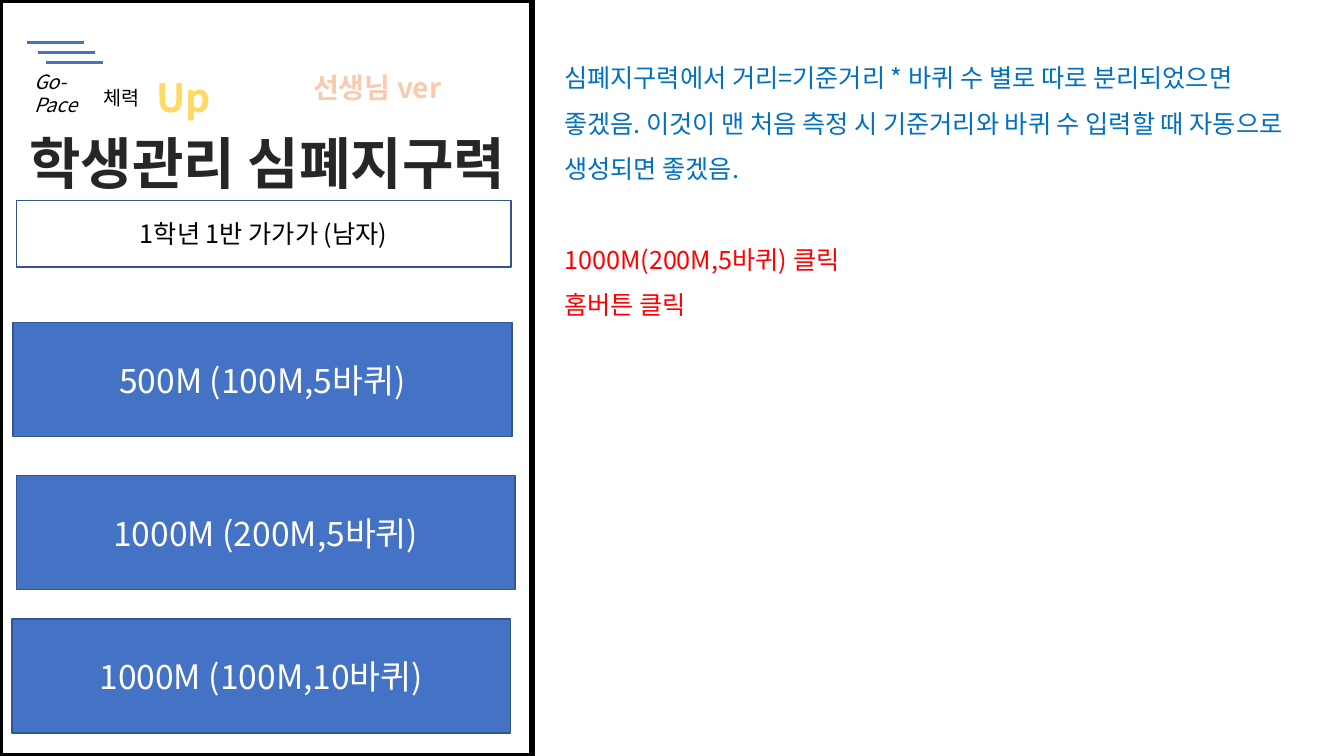
from lxml.etree import SubElement
from pptx import Presentation
from pptx.dml.color import RGBColor
from pptx.enum.shapes import MSO_CONNECTOR, MSO_SHAPE
from pptx.enum.text import MSO_ANCHOR, MSO_AUTO_SIZE, PP_ALIGN
from pptx.oxml import parse_xml
from pptx.oxml.ns import nsdecls, qn
from pptx.util import Cm, Pt

FONT = "Noto Sans CJK KR"
COLORS = {
    "white": "FFFFFF", "black": "000000", "title": "262626",
    "blue": "4472C4", "edge": "325491", "peach": "F8CBAD",
    "orange": "ED7D31", "gold": "FFC000", "yellow": "FFD966",
    "cream": "FFF2CC", "note": "0070C0", "action": "FF0000",
}
GOLD_STOPS = [(0, "gold"), (4, "yellow"), (87, "cream")]

# text, box in cm (left, top, width, height), wrap, alignment, font style
LABELS = [
    ("학생관리 심폐지구력", (-0.18, 3.12, 13.84, 1.96), False, PP_ALIGN.CENTER,
     dict(size=40, color="title", bold=True, outline=("white", 1.06))),
    ("선생님 ver", (7.34, 1.65, 4.34, 1.12), True, PP_ALIGN.CENTER,
     dict(size=20, color="peach", bold=True, outline=("orange", 1.75))),
    ("체력", (2.31, 2.03, 1.5, 0.86), False, PP_ALIGN.CENTER,
     dict(size=14, color="black")),
    ("Up", (3.68, 1.73, 1.9, 1.45), True, PP_ALIGN.CENTER,
     dict(size=28, stops=GOLD_STOPS, bold=True, outline=("gold", 1))),
    ("Go-Pace", (0.61, 1.63, 2.21, 0.86), True, PP_ALIGN.LEFT,
     dict(size=14, color="black", italic=True)),
]

# text, colour, space before in points
NOTES = [
    ("심폐지구력에서 거리=기준거리 * 바퀴 수 별로 따로 분리되었으면 좋겠음. "
     "이것이 맨 처음 측정 시 기준거리와 바퀴 수 입력할 때 자동으로 생성되면 좋겠음.",
     "note", 0),
    ("1000M(200M,5바퀴) 클릭", "action", 32.5),
    ("홈버튼 클릭", "action", 0),
]
NOTES_BOX = (13.97, 1.07, 18.69, 7.19)

STUDENT = ("1학년 1반 가가가 (남자)", (0.41, 5.05, 12.47, 1.68))
BUTTONS = [
    ("500M (100M,5바퀴)", 0.33, 8.13),
    ("1000M (200M,5바퀴)", 0.41, 11.99),
    ("1000M (100M,10바퀴)", 0.3, 15.6),
]
BUTTON_SIZE = (12.57, 2.87)

SPEED_LINE_LEFTS = [0.69, 0.97, 1.17]
SPEED_LINE_TOP, SPEED_LINE_STEP, SPEED_LINE_LENGTH = 1.07, 0.25, 1.42


def rgb(name):
    return RGBColor.from_string(COLORS[name])


def color_xml(name):
    return f'<a:srgbClr val="{COLORS[name]}"/>'


def add_run(p, text, size, color=None, stops=None, bold=False, italic=False,
            outline=None):
    """Add a run; stops gives a vertical gradient, outline is (colour, points)."""
    r = p.add_run()
    r.text = text
    font = r.font
    font.size, font.bold, font.italic, font.name = Pt(size), bold, italic, FONT
    rPr = font._element
    SubElement(rPr, qn("a:ea")).set("typeface", FONT)
    if stops:
        stop_xml = "".join(f'<a:gs pos="{pos * 1000}">{color_xml(name)}</a:gs>'
                           for pos, name in stops)
        rPr.insert(0, parse_xml(
            f'<a:gradFill {nsdecls("a")}><a:gsLst>{stop_xml}</a:gsLst>'
            '<a:lin ang="5400000" scaled="0"/></a:gradFill>'))
    else:
        font.color.rgb = rgb(color)
    if outline:
        name, width = outline
        rPr.insert(0, parse_xml(
            f'<a:ln {nsdecls("a")} w="{int(Pt(width))}">'
            f'<a:solidFill>{color_xml(name)}</a:solidFill></a:ln>'))


def add_text_frame(slide, box, wrap=True):
    tf = slide.shapes.add_textbox(*map(Cm, box)).text_frame
    tf.word_wrap = wrap
    tf.auto_size = MSO_AUTO_SIZE.SHAPE_TO_FIT_TEXT
    return tf


def add_box(slide, box, fill, line, width, text="", size=18, color="black"):
    sp = slide.shapes.add_shape(MSO_SHAPE.RECTANGLE, *map(Cm, box))
    sp.shadow.inherit = False
    if fill:
        sp.fill.solid()
        sp.fill.fore_color.rgb = rgb(fill)
    else:
        sp.fill.background()
    sp.line.color.rgb = rgb(line)
    sp.line.width = Pt(width)
    if text:
        tf = sp.text_frame
        tf.word_wrap = True
        tf.vertical_anchor = MSO_ANCHOR.MIDDLE
        p = tf.paragraphs[0]
        p.alignment = PP_ALIGN.CENTER
        add_run(p, text, size, color)


def add_speed_line(slide, left, top):
    line = slide.shapes.add_connector(
        MSO_CONNECTOR.STRAIGHT, Cm(left), Cm(top),
        Cm(left + SPEED_LINE_LENGTH), Cm(top))
    line.line.color.rgb = rgb("blue")
    line.line.width = Pt(2)
    SubElement(line._element.spPr, qn("a:effectLst"))


def main():
    prs = Presentation()
    prs.slide_width, prs.slide_height = Cm(33.87), Cm(19.05)
    slide = prs.slides.add_slide(prs.slide_layouts[6])

    add_box(slide, (0, 0, 13.41, 19.05), "white", "black", 4.5)

    for text, box, wrap, align, style in LABELS:
        p = add_text_frame(slide, box, wrap).paragraphs[0]
        p.alignment = align
        add_run(p, text, **style)

    tf = add_text_frame(slide, NOTES_BOX)
    for i, (text, color, gap) in enumerate(NOTES):
        p = tf.add_paragraph() if i else tf.paragraphs[0]
        p.line_spacing = 1.5
        if gap:
            p.space_before = Pt(gap)
        add_run(p, text, 18, color)

    for i, left in enumerate(SPEED_LINE_LEFTS):
        add_speed_line(slide, left, SPEED_LINE_TOP + i * SPEED_LINE_STEP)

    text, box = STUDENT
    add_box(slide, box, None, "edge", 1, text)
    for text, left, top in BUTTONS:
        add_box(slide, (left, top, *BUTTON_SIZE), "blue", "edge", 1,
                text, 24, "white")

    prs.save("out.pptx")


if __name__ == "__main__":
    main()
